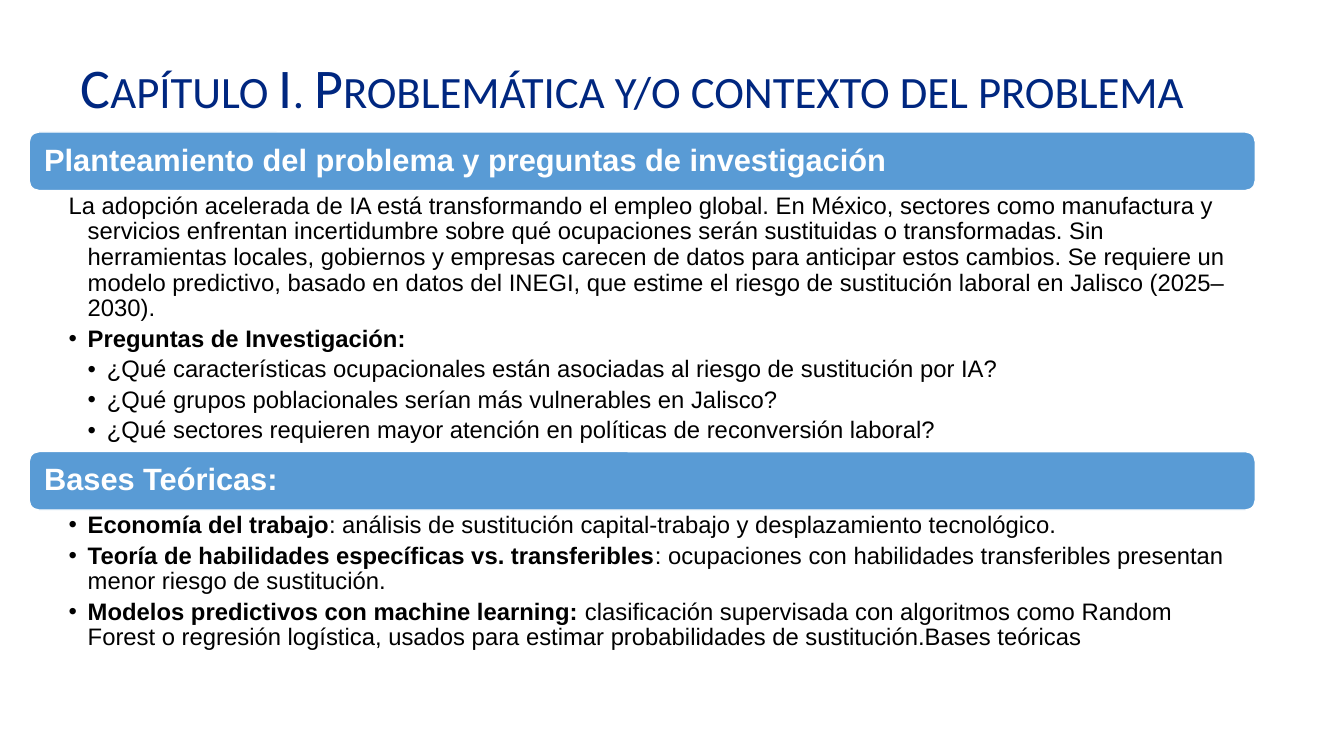
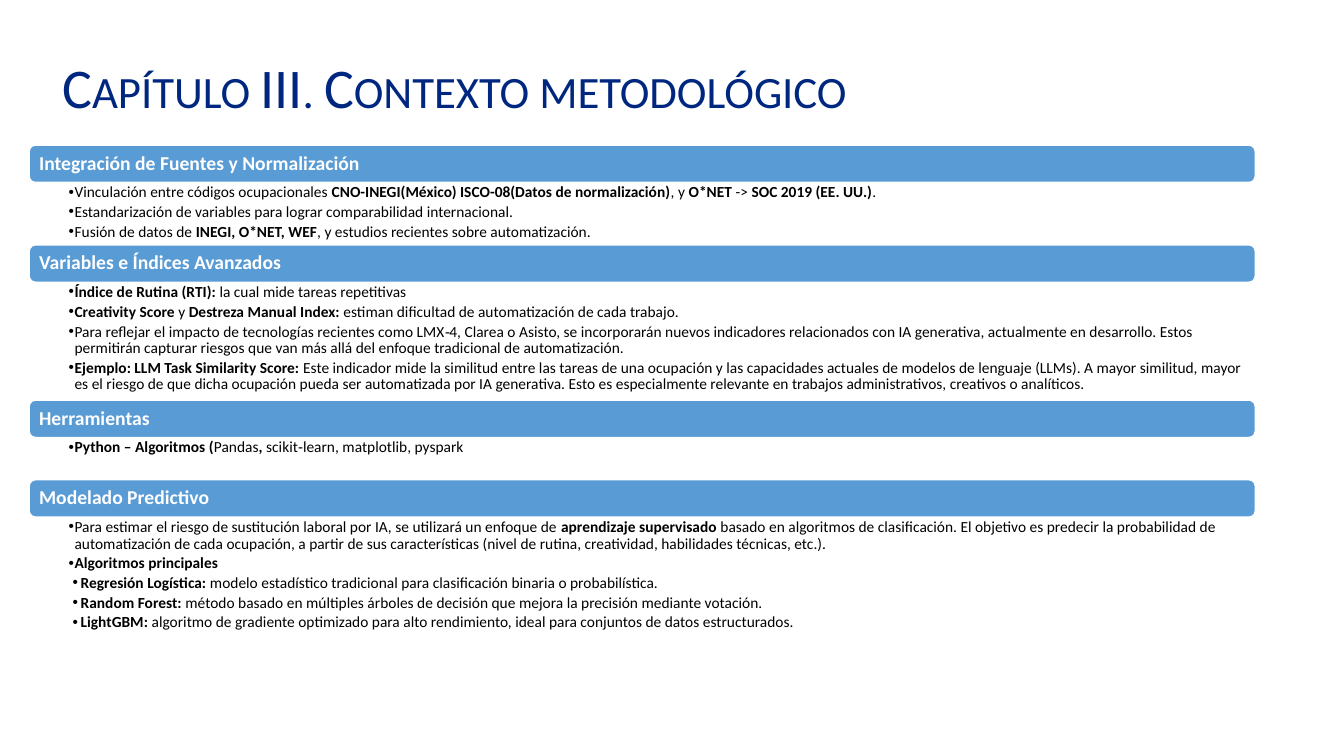
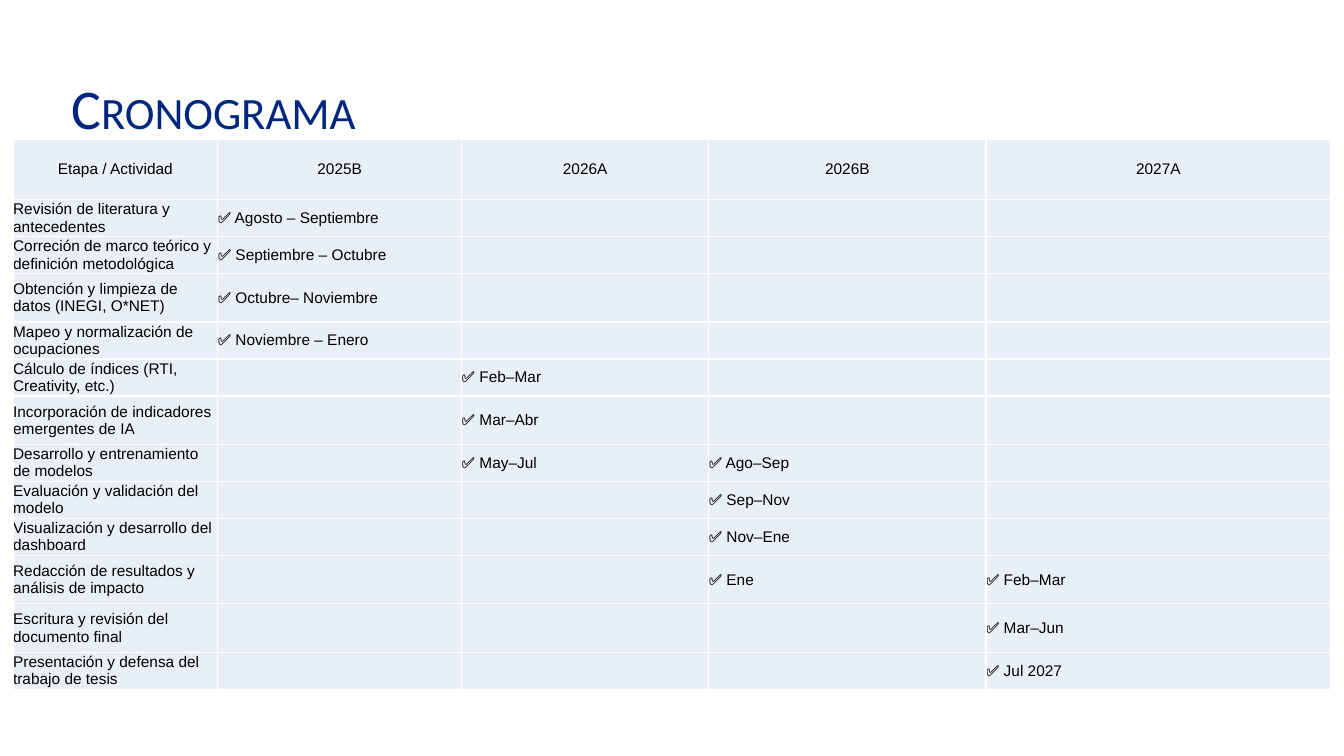
from dataclasses import dataclass

from lxml.etree import SubElement
from pptx import Presentation
from pptx.dml.color import RGBColor
from pptx.enum.shapes import MSO_SHAPE
from pptx.enum.text import MSO_ANCHOR, PP_ALIGN
from pptx.oxml.ns import qn
from pptx.util import Inches, Pt

NAVY, BLUE, PALE, WHITE, BLACK = "002780", "599BD5", "E9EFF7", "FFFFFF", "000000"
LEFT, WIDTH = 0.29, 12.16
LINE_SPACING = 0.9


@dataclass(frozen=True)
class Style:
    font: str
    band_height: float
    band_size: int
    band_inset: float
    body_size: int
    body_insets: tuple[float, float, float, float]
    indent: float
    hanging: float


@dataclass(frozen=True)
class Item:
    text: str
    level: int = 1
    bullet: bool = True


@dataclass(frozen=True)
class Section:
    heading: str
    body_height: float
    items: tuple[Item, ...]


LARGE = Style("Arial", 0.58, 22, 0.12, 17, (0.39, 0.03, 0.17, 0.03), 0.19, 0.19)
SMALL = Style("Calibri", 0.37, 14, 0.08, 11, (0.39, 0.02, 0.11, 0.02), 0.06, 0.08)

PROBLEM = (
    Section("Planteamiento del problema y preguntas de investigación", 2.59, (
        Item("La adopción acelerada de IA está transformando el empleo global. En México, sectores como "
             "manufactura y servicios enfrentan incertidumbre sobre qué ocupaciones serán sustituidas o "
             "transformadas. Sin herramientas locales, gobiernos y empresas carecen de datos para anticipar "
             "estos cambios. Se requiere un modelo predictivo, basado en datos del INEGI, que estime el "
             "riesgo de sustitución laboral en Jalisco (2025–2030).", bullet=False),
        Item("**Preguntas de Investigación:**"),
        Item("¿Qué características ocupacionales están asociadas al riesgo de sustitución por IA?", 2),
        Item("¿Qué grupos poblacionales serían más vulnerables en Jalisco?", 2),
        Item("¿Qué sectores requieren mayor atención en políticas de reconversión laboral?", 2),
    )),
    Section("Bases Teóricas:", 1.39, (
        Item("**Economía del trabajo**: análisis de sustitución capital-trabajo y desplazamiento tecnológico."),
        Item("**Teoría de habilidades específicas vs. transferibles**: ocupaciones con habilidades "
             "transferibles presentan menor riesgo de sustitución."),
        Item("**Modelos predictivos con machine learning:** clasificación supervisada con algoritmos como "
             "Random Forest o regresión logística, usados para estimar probabilidades de "
             "sustitución.Bases teóricas"),
    )),
)

METHOD = (
    Section("Integración de Fuentes y Normalización", 0.62, (
        Item("Vinculación entre códigos ocupacionales **CNO-INEGI(México) ISCO-08(Datos de "
             "normalización)**, y **O*NET **-> **SOC 2019 (EE. UU.)**."),
        Item("Estandarización de variables para lograr comparabilidad internacional."),
        Item("Fusión de datos de **INEGI, O*NET, WEF**, y estudios recientes sobre automatización."),
    )),
    Section("Variables e Índices Avanzados", 1.17, (
        Item("**Índice de Rutina (RTI):** la cual mide tareas repetitivas"),
        Item("**Creativity Score** y **Destreza Manual Index:** estiman dificultad de automatización de "
             "cada trabajo."),
        Item("Para reflejar el impacto de tecnologías recientes como LMX‑4, Clarea o Asisto, se "
             "incorporarán nuevos indicadores relacionados con IA generativa, actualmente en desarrollo. "
             "Estos permitirán capturar riesgos que van más allá del enfoque tradicional de automatización."),
        Item("**Ejemplo: LLM Task Similarity Score: **Este indicador mide la similitud entre las tareas de "
             "una ocupación y las capacidades actuales de modelos de lenguaje (LLMs). A mayor similitud, "
             "mayor es el riesgo de que dicha ocupación pueda ser automatizada por IA generativa. Esto es "
             "especialmente relevante en trabajos administrativos, creativos o analíticos."),
    )),
    Section("Herramientas", 0.42, (
        Item("**Python – Algoritmos (**Pandas**, **scikit‑learn, matplotlib, pyspark"),
    )),
    Section("Modelado Predictivo", 1.2, (
        Item("Para estimar el riesgo de sustitución laboral por IA, se utilizará un enfoque de "
             "**aprendizaje supervisado** basado en algoritmos de clasificación. El objetivo es predecir la "
             "probabilidad de automatización de cada ocupación, a partir de sus características (nivel de "
             "rutina, creatividad, habilidades técnicas, etc.)."),
        Item("**Algoritmos principales**"),
        Item("**Regresión Logística:** modelo estadístico tradicional para clasificación binaria o "
             "probabilística.", 2),
        Item("**Random Forest:** método basado en múltiples árboles de decisión que mejora la precisión "
             "mediante votación.", 2),
        Item("**LightGBM:** algoritmo de gradiente optimizado para alto rendimiento, ideal para conjuntos "
             "de datos estructurados.", 2),
    )),
)

COLUMN_WIDTHS = (2.03, 2.42, 2.45, 2.75, 3.42)
HEADER_HEIGHT, SHORT, TALL = 0.6, 0.36, 0.48
PERIODS = ("Etapa / Actividad", "2025B", "2026A", "2026B", "2027A")
STAGES = (
    (SHORT, "Revisión de literatura y antecedentes", {1: "Agosto – Septiembre"}),
    (SHORT, "Correción de marco teórico y definición metodológica", {1: "Septiembre – Octubre"}),
    (TALL, "Obtención y limpieza de datos (INEGI, O*NET)", {1: "Octubre– Noviembre"}),
    (SHORT, "Mapeo y normalización de ocupaciones", {1: "Noviembre – Enero"}),
    (SHORT, "Cálculo de índices (RTI, Creativity, etc.)", {2: "Feb–Mar"}),
    (TALL, "Incorporación de indicadores emergentes de IA", {2: "Mar–Abr"}),
    (SHORT, "Desarrollo y entrenamiento de modelos", {2: "May–Jul", 3: "Ago–Sep"}),
    (SHORT, "Evaluación y validación del modelo", {3: "Sep–Nov"}),
    (SHORT, "Visualización y desarrollo del dashboard", {3: "Nov–Ene"}),
    (TALL, "Redacción de resultados y análisis de impacto", {3: "Ene", 4: "Feb–Mar"}),
    (TALL, "Escritura y revisión del documento final", {4: "Mar–Jun"}),
    (SHORT, "Presentación y defensa del trabajo de tesis", {4: "Jul 2027"}),
)


def color(value: str) -> RGBColor:
    return RGBColor.from_string(value)


def add_run(paragraph, text: str, font: str, size: float, hex_color: str, bold: bool = False):
    run = paragraph.add_run()
    run.text = text
    run.font.name = font
    run.font.size = Pt(size)
    run.font.bold = bold
    run.font.color.rgb = color(hex_color)
    return run


def set_insets(frame, left: float, top: float, right: float, bottom: float) -> None:
    frame.margin_left, frame.margin_top = Inches(left), Inches(top)
    frame.margin_right, frame.margin_bottom = Inches(right), Inches(bottom)


def add_text_frame(slide, left: float, top: float, width: float, height: float):
    frame = slide.shapes.add_textbox(Inches(left), Inches(top), Inches(width), Inches(height)).text_frame
    frame.word_wrap = True
    return frame


def add_title(slide, text: str, left: float = 0.52, bottom: float = 1.25, alignment=PP_ALIGN.LEFT) -> None:
    frame = add_text_frame(slide, left, 0, 11.5, bottom)
    frame.vertical_anchor = MSO_ANCHOR.BOTTOM
    paragraph = frame.paragraphs[0]
    paragraph.alignment = alignment
    paragraph.line_spacing = LINE_SPACING
    run = add_run(paragraph, text, "Calibri", 40, NAVY)
    run.font._element.set("cap", "small") if hasattr(run.font, "_element") else run._r.get_or_add_rPr().set("cap", "small")


def add_band(slide, text: str, top: float, style: Style) -> None:
    shape = slide.shapes.add_shape(
        MSO_SHAPE.ROUNDED_RECTANGLE, Inches(LEFT), Inches(top), Inches(WIDTH), Inches(style.band_height))
    shape.shadow.inherit = False
    shape.fill.solid()
    shape.fill.fore_color.rgb = color(BLUE)
    shape.line.color.rgb = color(WHITE)
    shape.line.width = Pt(1)
    frame = shape.text_frame
    set_insets(frame, style.band_inset, 0, style.band_inset, 0)
    frame.vertical_anchor = MSO_ANCHOR.MIDDLE
    paragraph = frame.paragraphs[0]
    paragraph.alignment = PP_ALIGN.LEFT
    paragraph.line_spacing = LINE_SPACING
    add_run(paragraph, text, style.font, style.band_size, WHITE, bold=True)


def format_item(paragraph, item: Item, style: Style) -> None:
    properties = paragraph._p.get_or_add_pPr()
    properties.set("marL", str(Inches(style.indent * item.level)))
    properties.set("indent", str(Inches(-style.hanging)))
    if item.bullet:
        bullet_color = SubElement(properties, qn("a:buClr"))
        SubElement(bullet_color, qn("a:srgbClr"), val=BLACK)
        SubElement(properties, qn("a:buFont"), typeface="Arial")
        SubElement(properties, qn("a:buChar"), char="•")
    paragraph.level = item.level
    paragraph.line_spacing = LINE_SPACING


def add_body(slide, section: Section, top: float, style: Style) -> None:
    frame = add_text_frame(slide, LEFT, top, WIDTH, section.body_height)
    set_insets(frame, *style.body_insets)
    for index, item in enumerate(section.items):
        paragraph = frame.add_paragraph() if index else frame.paragraphs[0]
        format_item(paragraph, item, style)
        if index:
            paragraph.space_before = Pt(0.2 * style.body_size)
        for position, part in enumerate(item.text.split("**")):
            if part:
                add_run(paragraph, part, style.font, style.body_size, BLACK, bold=position % 2 == 1)


def add_sections(slide, sections: tuple[Section, ...], top: float, style: Style) -> None:
    for section in sections:
        add_band(slide, section.heading, top, style)
        add_body(slide, section, top + style.band_height, style)
        top += style.band_height + section.body_height


def format_cell(cell, text: str, alignment) -> None:
    properties = cell._tc.get_or_add_tcPr()
    for side in ("lnL", "lnR", "lnT", "lnB"):
        border = SubElement(properties, qn(f"a:{side}"), w=str(Pt(1)))
        fill = SubElement(border, qn("a:solidFill"))
        SubElement(fill, qn("a:srgbClr"), val=WHITE)
    cell.fill.solid()
    cell.fill.fore_color.rgb = color(PALE)
    set_insets(cell, 0, 0, 0, 0)
    cell.vertical_anchor = MSO_ANCHOR.MIDDLE
    paragraph = cell.text_frame.paragraphs[0]
    paragraph.alignment = alignment
    if text:
        add_run(paragraph, text, "Arial", 11, BLACK)


def add_schedule(slide) -> None:
    heights = [HEADER_HEIGHT] + [height for height, _, _ in STAGES]
    table = slide.shapes.add_table(
        len(heights), len(COLUMN_WIDTHS), Inches(0.13), Inches(1.38),
        Inches(sum(COLUMN_WIDTHS)), Inches(sum(heights))).table
    table.first_row = table.horz_banding = False
    for column, width in zip(table.columns, COLUMN_WIDTHS):
        column.width = Inches(width)
    for row, height in zip(table.rows, heights):
        row.height = Inches(height)
    for cell, period in zip(table.rows[0].cells, PERIODS):
        format_cell(cell, period, PP_ALIGN.CENTER)
    for row_index, (_, stage, months) in enumerate(STAGES, start=1):
        texts = {0: stage} | {column: f"✅ {month}" for column, month in months.items()}
        for column_index, cell in enumerate(table.rows[row_index].cells):
            format_cell(cell, texts.get(column_index, ""), PP_ALIGN.LEFT)


def main() -> None:
    """Build the thesis slides: problem, method and schedule."""
    presentation = Presentation()
    presentation.slide_width, presentation.slide_height = Inches(13.33), Inches(7.5)
    problem, method, schedule = (
        presentation.slides.add_slide(presentation.slide_layouts[6]) for _ in range(3))
    add_title(problem, "Capítulo I. Problemática y/o contexto del problema", alignment=PP_ALIGN.CENTER)
    add_sections(problem, PROBLEM, 1.31, LARGE)
    add_title(method, "Capítulo III. Contexto metodológico")
    add_sections(method, METHOD, 1.44, SMALL)
    add_title(schedule, "Cronograma", left=0.61, bottom=1.45)
    add_schedule(schedule)
    presentation.save("out.pptx")


if __name__ == "__main__":
    main()
